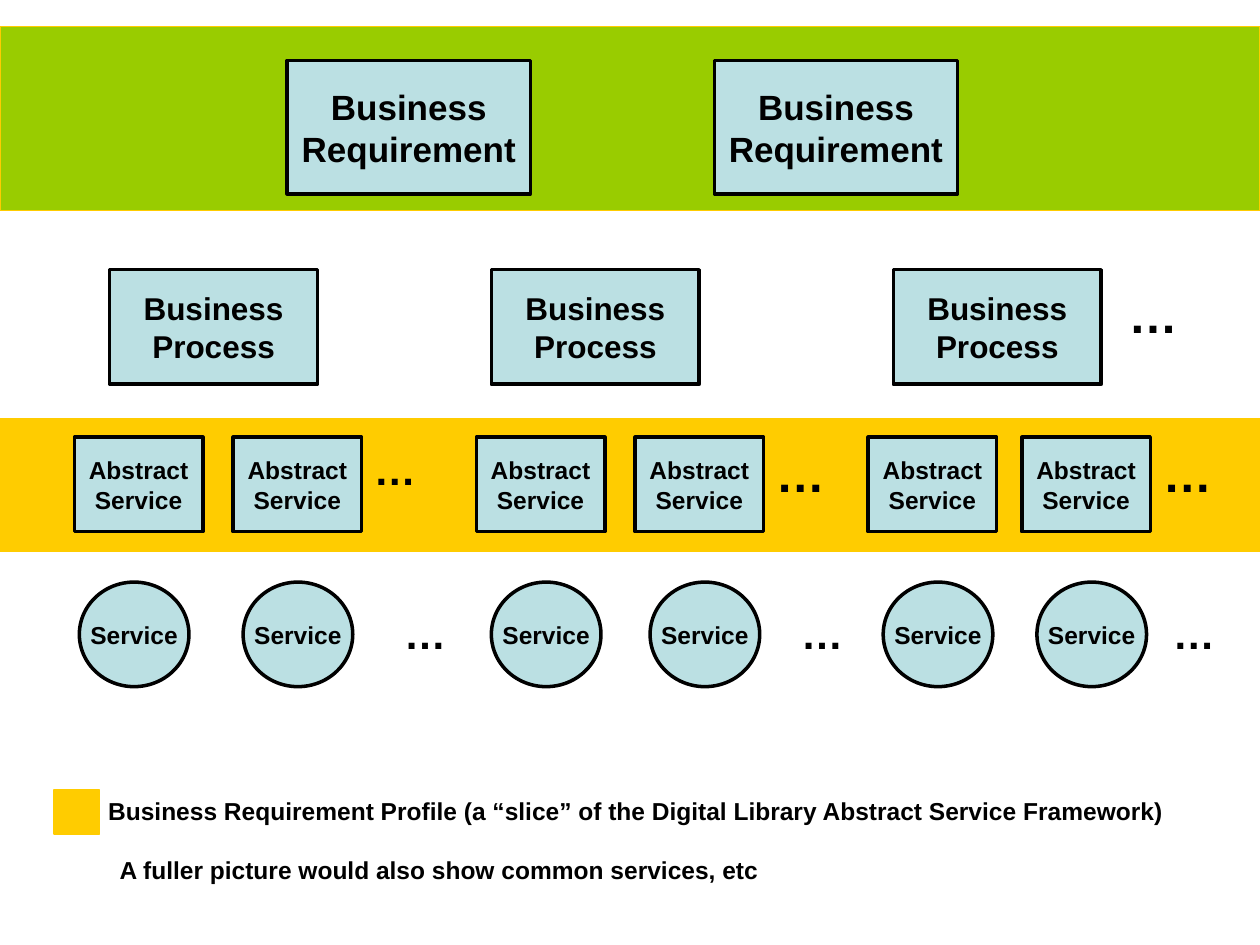
import pptx
import pptx.dml.color
import pptx.enum.shapes
import pptx.enum.text
import pptx.util

Inches = pptx.util.Inches
RECT = pptx.enum.shapes.MSO_SHAPE.RECTANGLE
OVAL = pptx.enum.shapes.MSO_SHAPE.OVAL
BLACK, BLUE, GREEN, GOLD = "000000", "BBE0E3", "99CC00", "FFCC00"


def paint(form, color):
    """Set a fill or font colour from a hex string."""
    if hasattr(form, "solid"):
        form.solid()
        form = form.fore_color
    else:
        form = form.color
    form.rgb = pptx.dml.color.RGBColor.from_string(color)


def write(frame, text, size, align, wrap):
    """Fill a text frame with bold black lines."""
    frame.word_wrap = wrap
    frame.text = text
    for line in frame.paragraphs:
        line.alignment = align
        line.font.name = "Arial"
        line.font.size = pptx.util.Pt(size)
        line.font.bold = True
        paint(line.font, BLACK)


def draw(slide, kind, box, fill, edge, width):
    """Add a plain shape with a fill and an outline."""
    shape = slide.shapes.add_shape(kind, *map(Inches, box))
    shape.shadow.inherit = False
    paint(shape.fill, fill)
    paint(shape.line, edge)
    shape.line.width = pptx.util.Pt(width)
    return shape


def node(slide, kind, box, text, size):
    """Add a blue shape with a centred label."""
    frame = draw(slide, kind, box, BLUE, BLACK, 2).text_frame
    frame.vertical_anchor = pptx.enum.text.MSO_ANCHOR.MIDDLE
    write(frame, text, size, pptx.enum.text.PP_ALIGN.CENTER, False)


def label(slide, box, text, size, wrap=False):
    """Add a left-aligned text box."""
    frame = slide.shapes.add_textbox(*map(Inches, box)).text_frame
    write(frame, text, size, pptx.enum.text.PP_ALIGN.LEFT, wrap)
    frame.auto_size = pptx.enum.text.MSO_AUTO_SIZE.SHAPE_TO_FIT_TEXT


def dots(slide, left, top, size=24):
    """Add an ellipsis that marks further items."""
    width, height = (0.59, 0.57) if size == 28 else (0.53, 0.5)
    label(slide, (left, top, width, height), "…", size, True)


def needs(slide, box):
    """Draw the green band of business requirements."""
    left, top, width, height = box
    draw(slide, RECT, box, GREEN, GOLD, 0.75)
    for step in (2.28, 5.67):
        spot = (left + step, top + 0.27, 1.93, 1.06)
        node(slide, RECT, spot, "Business\nRequirement", 20)


def tasks(slide, box):
    """Draw the row of business processes."""
    left, top, width, height = box
    for step in (0, 3.03, 6.22):
        spot = (left + step, top, 1.65, height)
        node(slide, RECT, spot, "Business\nProcess", 18)
    dots(slide, left + width, top + 0.07, 28)


def slice_band(slide, box):
    """Draw the gold band of abstract services."""
    left, top, width, height = box
    draw(slide, RECT, box, GOLD, GOLD, 0.75)
    top += 0.15
    wide = 1.02
    for step, gap, size in ((0.59, 1.26, 24), (3.78, 1.26, 28), (6.89, 1.22, 28)):
        first = left + step
        last = first + gap
        for side in (first, last):
            node(slide, RECT, (side, top, wide, 0.75), "Abstract\nService", 14)
        dots(slide, last + wide, top, size)


def services(slide, box):
    """Draw the row of round services."""
    left, top, width, height = box
    for step, gap, more in ((0, 1.3, 2.48), (3.27, 1.26, 5.63), (6.38, 1.22, 8.58)):
        for side in (step, step + gap):
            node(slide, OVAL, (left + side, top, 0.87, height), "Service", 14)
        dots(slide, left + more, top + 0.15)


def legend(slide, box):
    """Draw the colour key and the closing remark."""
    left, top, width, height = box
    draw(slide, RECT, (left, top, 0.36, 0.35), GOLD, GOLD, 0.75)
    key = ("Business Requirement Profile (a “slice” of the "
           "Digital Library Abstract Service Framework)")
    label(slide, (left + 0.33, top, width - 0.33, 0.34), key, 14)
    note = "A fuller picture would also show common services, etc"
    label(slide, (left + 0.42, top + height - 0.34, 5.28, 0.34), note, 14)


def main():
    """Build the slide and save it."""
    deck = pptx.Presentation()
    deck.slide_width, deck.slide_height = Inches(10), Inches(7.5)
    slide = deck.slides.add_slide(deck.slide_layouts[6])
    needs(slide, (0, 0.21, 10, 1.46))
    tasks(slide, (0.87, 2.14, 7.99, 0.91))
    slice_band(slide, (0, 3.32, 10, 1.06))
    services(slide, (0.63, 4.62, 8.47, 0.83))
    legend(slide, (0.43, 6.27, 8.92, 0.81))
    deck.save("out.pptx")


if __name__ == "__main__":
    main()
